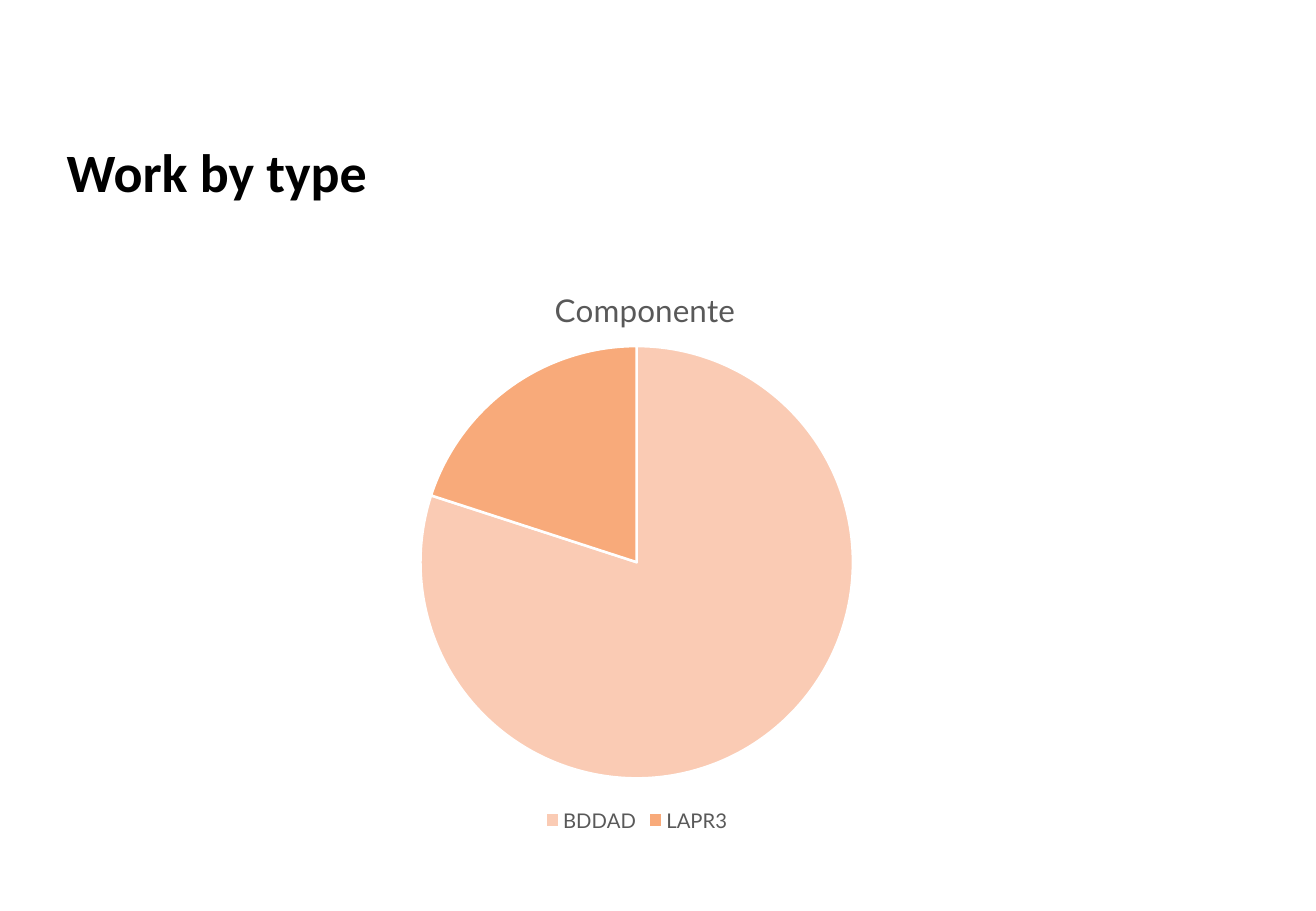
from dataclasses import dataclass

from lxml.etree import SubElement
from pptx import Presentation
from pptx.chart.data import CategoryChartData
from pptx.dml.color import RGBColor as RGB
from pptx.enum.chart import XL_CHART_TYPE as ChartType, XL_LEGEND_POSITION as LegendPos
from pptx.enum.text import MSO_ANCHOR as Anchor
from pptx.oxml.ns import qn
from pptx.util import Inches, Pt


@dataclass(frozen=True)
class Theme:
    heading_font: str = "Calibri"
    chart_font: str = "Lato"
    heading: str = "000000"
    muted: str = "595959"
    gap: str = "FFFFFF"
    slices: tuple = ("FACBB4", "F8AA7A")
    heading_size: float = 32
    chart_size: float = 10
    chart_title_size: float = 18.6
    legend_size: float = 12
    gap_width: float = 1.5


class Deck:
    def __init__(self, theme, width, height):
        self.theme = theme
        self.prs = Presentation()
        self.prs.slide_width, self.prs.slide_height = Inches(width), Inches(height)
        self.s = self.prs.slides.add_slide(self.prs.slide_layouts[6])

    def style(self, font, name, size, color, bold=False):
        font.name, font.size, font.bold = name, Pt(size), bold
        font.color.rgb = RGB.from_string(color)

    def heading(self, text, *box):
        t = self.theme
        tf = self.s.shapes.add_textbox(*map(Inches, box)).text_frame
        tf.word_wrap = True
        tf.vertical_anchor = Anchor.MIDDLE
        tf.text = text
        self.style(tf.paragraphs[0].runs[0].font, t.heading_font,
                   t.heading_size, t.heading, bold=True)

    def place(self, part, index, **fractions):
        """Fix a chart part by fractions of the chart area."""
        layout = part.find(qn("c:layout"))
        if layout is None:
            layout = SubElement(part, qn("c:layout"))
            part.insert(index, layout)
        manual = SubElement(layout, qn("c:manualLayout"))
        if "w" in fractions:
            SubElement(manual, qn("c:layoutTarget")).set("val", "inner")
        for axis in "xy":
            SubElement(manual, qn(f"c:{axis}Mode")).set("val", "edge")
        for key, value in fractions.items():
            SubElement(manual, qn(f"c:{key}")).set("val", str(value))

    def pie(self, title, values, *box):
        t = self.theme
        data = CategoryChartData()
        data.categories = list(values)
        data.add_series("Series 1", list(values.values()))
        chart = self.s.shapes.add_chart(
            ChartType.PIE, *map(Inches, box), data).chart
        self.style(chart.font, t.chart_font, t.chart_size, t.heading)

        # Chart title
        chart.has_title = True
        tf = chart.chart_title.text_frame
        tf.text = title
        self.style(tf.paragraphs[0].runs[0].font, t.chart_font,
                   t.chart_title_size, t.muted)
        title_part = tf._txBody.getparent().getparent()
        self.place(title_part, 1, x=0.4, y=0.05)

        # Slices
        plot = chart.plots[0]
        plot.vary_by_categories = True
        for i, color in enumerate(t.slices):
            fmt = plot.series[0].points[i].format
            fmt.fill.solid()
            fmt.fill.fore_color.rgb = RGB.from_string(color)
            fmt.line.color.rgb = RGB.from_string(t.gap)
            fmt.line.width = Pt(t.gap_width)
        plot_area = chart.element.find(f".//{qn('c:plotArea')}")
        self.place(plot_area, 0, x=0.25, y=0.16, w=0.5, h=0.74)

        # Legend
        chart.has_legend = True
        chart.legend.position = LegendPos.BOTTOM
        chart.legend.include_in_layout = False
        self.style(chart.legend.font, t.chart_font, t.legend_size, t.muted)


def main():
    deck = Deck(Theme(), 10.83, 7.5)
    deck.heading("Work by type", 0.45, 1.09, 9.89, 0.63)
    deck.pie("Componente", {"BDDAD": 80, "LAPR3": 20}, 1.63, 2.08, 7.22, 4.81)
    deck.prs.save("out.pptx")


if __name__ == "__main__":
    main()
